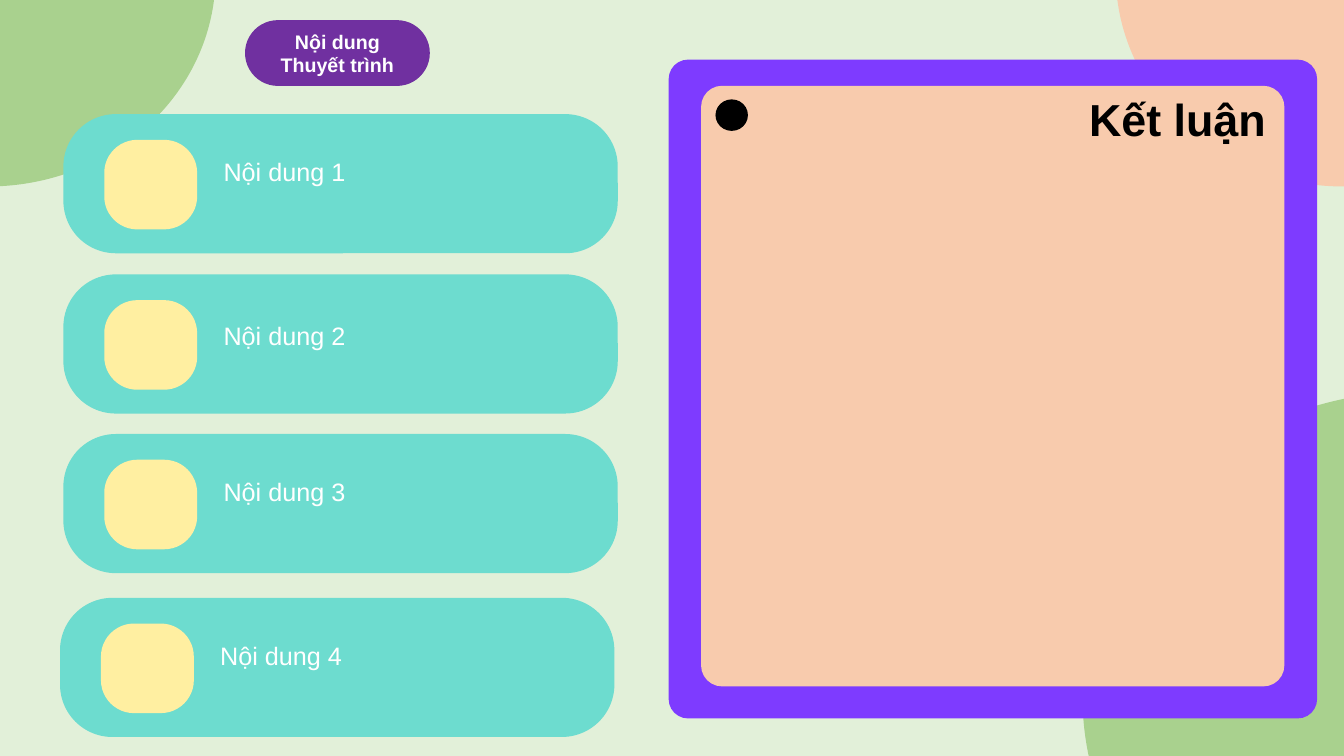
from pptx import Presentation
from pptx.dml.color import RGBColor
from pptx.enum import shapes, text
from pptx.util import Pt

MINT = RGBColor(0xE2, 0xF0, 0xD9)
GREEN = RGBColor(0xA9, 0xD1, 0x8E)
PEACH = RGBColor(0xF8, 0xCB, 0xAD)
TEAL = RGBColor(0x6D, 0xDC, 0xCF)
YELLOW = RGBColor(0xFF, 0xEF, 0xA1)
PURPLE = RGBColor(0x70, 0x30, 0xA0)
VIOLET = RGBColor(0x7E, 0x3B, 0xFF)
BLACK = RGBColor(0, 0, 0)
WHITE = RGBColor(0xFF, 0xFF, 0xFF)
OVAL = shapes.MSO_SHAPE.OVAL
ROUND = shapes.MSO_SHAPE.ROUNDED_RECTANGLE


def add_block(s, kind, x, y, w, h, color, adj=None):
    sp = s.shapes.add_shape(kind, Pt(x), Pt(y), Pt(w), Pt(h))
    sp.shadow.inherit = False
    sp.fill.solid()
    sp.fill.fore_color.rgb = color
    sp.line.fill.background()
    if adj is not None:
        sp.adjustments[0] = adj
    return sp


def write(sp, words, size, color, bold=False, align=text.PP_ALIGN.LEFT):
    tf = sp.text_frame
    tf.word_wrap = True
    p = tf.paragraphs[0]
    p.alignment = align
    r = p.add_run()
    r.text = words
    r.font.name = "Arial"
    r.font.size = Pt(size)
    r.font.bold = bold
    r.font.color.rgb = color


def add_label(s, x, y, w, h, words, size, color, bold=False):
    sp = s.shapes.add_textbox(Pt(x), Pt(y), Pt(w), Pt(h))
    write(sp, words, size, color, bold)


def add_backdrop(s):
    s.background.fill.solid()
    s.background.fill.fore_color.rgb = MINT
    add_block(s, OVAL, 797, -169.2, 325.4, 302.4, PEACH)
    add_block(s, OVAL, 773.3, 279.4, 480.2, 437.8, GREEN)
    add_block(s, OVAL, -171.4, -168.5, 325.4, 301.7, GREEN)


def add_topic(s, x, y, w, h, words, label_dy):
    add_block(s, ROUND, x, y, w, h, TEAL, 0.377)
    add_block(s, ROUND, x + 29.2, y + 18.4, 66.4, 64, YELLOW, 0.369)
    add_label(s, x + 107.3, y + label_dy, 227.5, 29, words, 18, WHITE)


def add_heading(s, x, y, w, h):
    sp = add_block(s, ROUND, x, y, w, h, PURPLE, 0.5)
    sp.text_frame.vertical_anchor = text.MSO_ANCHOR.MIDDLE
    write(sp, "Nội dung Thuyết trình", 14, WHITE, True, text.PP_ALIGN.CENTER)


def add_conclusion(s, x, y, w, h):
    add_block(s, ROUND, x, y, w, h, VIOLET, 0.03)
    add_block(s, ROUND, x + 23.2, y + 18.7, w - 46.6, h - 41.6, PEACH, 0.036)
    add_block(s, OVAL, x + 33.5, y + 28.4, 23.2, 22.5, BLACK)
    add_label(s, x + w - 170, y + 19.4, 150.5, 46.1, "Kết luận", 32, BLACK, True)


def main():
    """Build the content and conclusion slide."""
    prs = Presentation()
    prs.slide_width, prs.slide_height = Pt(960), Pt(540)
    s = prs.slides.add_slide(prs.slide_layouts[6])
    add_backdrop(s)
    topics = [(45.3, 81.5, 26.6), (45.3, 196, 29.5), (45.3, 310, 26.6), (42.9, 427, 26.6)]
    for i, (x, y, label_dy) in enumerate(topics, 1):
        add_topic(s, x, y, 396, 99.4, f"Nội dung {i}", label_dy)
    add_heading(s, 175, 14.4, 132, 47)
    add_conclusion(s, 477.6, 42.6, 463.2, 470.6)
    prs.save("out.pptx")


if __name__ == "__main__":
    main()
